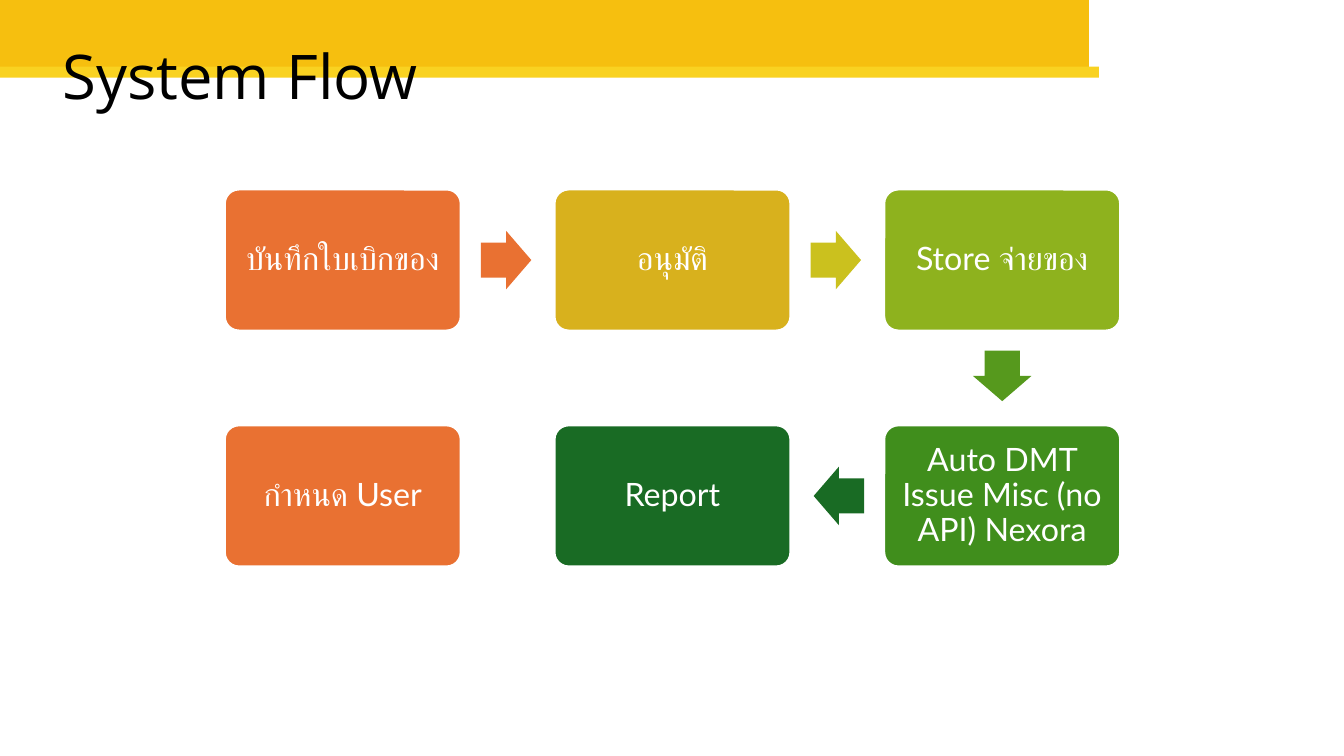
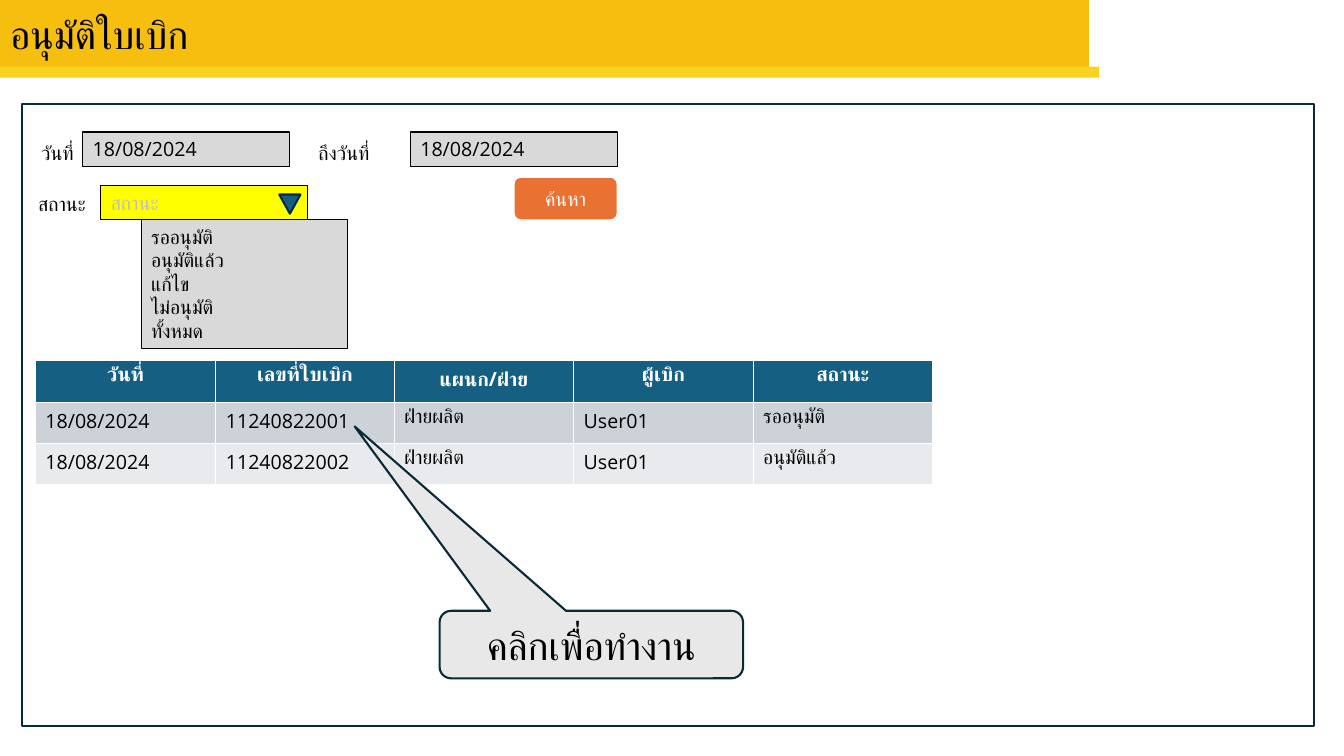
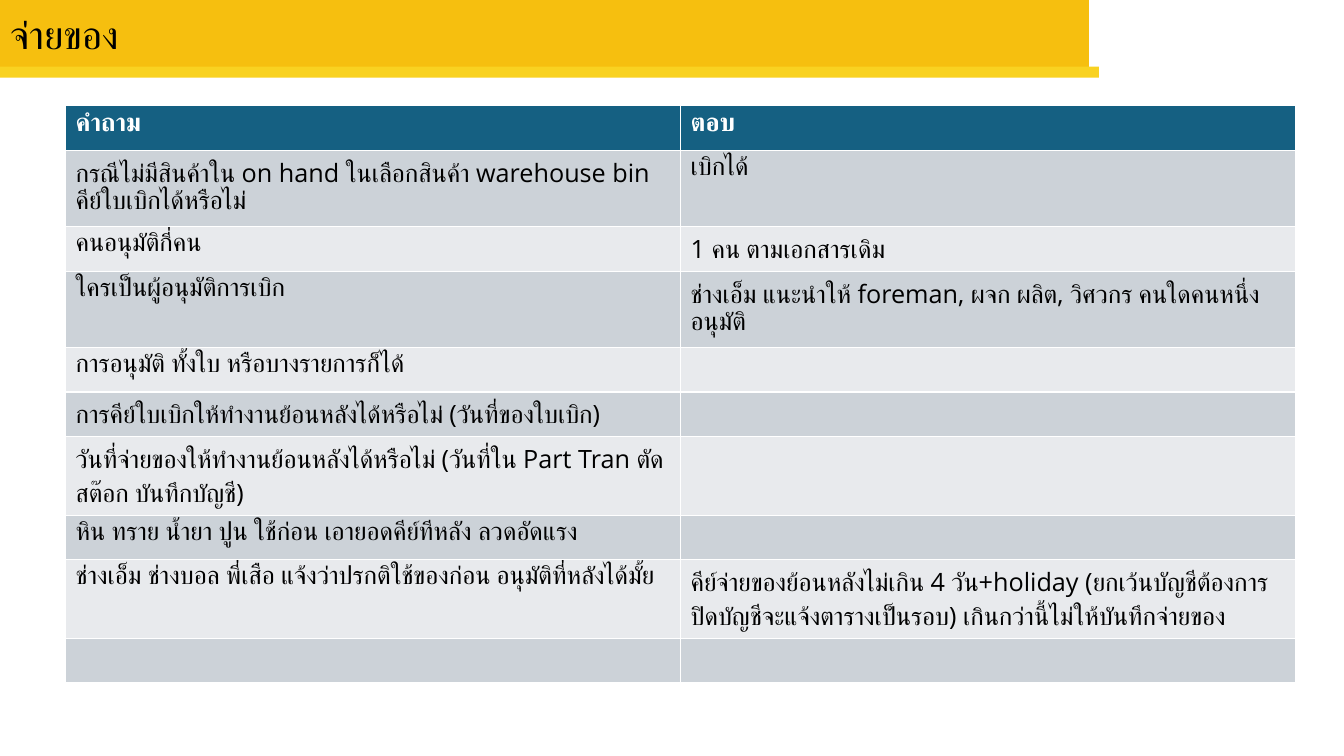
from pptx import Presentation
from pptx import util as u
from pptx.dml.color import RGBColor
from pptx.enum import shapes, text

PX = 9144  # 100 px to the inch
KIND = shapes.MSO_SHAPE
LEFT, MID = text.PP_ALIGN.LEFT, text.PP_ALIGN.CENTER
TOP, CENTRE = text.MSO_ANCHOR.TOP, text.MSO_ANCHOR.MIDDLE

BLACK, WHITE, GREY = "000000", "FFFFFF", "D9D9D9"
GOLD, YELLOW = "F6BF0F", "F9D221"
ORANGE, TEAL, NAVY = "E97132", "156082", "092A39"
BANDS = ["E8EAED", "CCD2D8"]

CARDS = [
    (0, 0, "บันทึกใบเบิกของ", ORANGE),
    (1, 0, "อนุมัติ", "D8B11D"),
    (2, 0, "Store จ่ายของ", "8EB21E"),
    (2, 1, "Auto DMT Issue Misc (no API) Nexora", "408E1C"),
    (1, 1, "Report", "196B24"),
    (0, 1, "กำหนด User", ORANGE),
]
# column, row, x step, y step, turn, colour
ARROWS = [
    (0, 0, 1, 0, 0, ORANGE),
    (1, 0, 1, 0, 0, "CBC11E"),
    (2, 0, 0, 1, 90, "56991D"),
    (2, 1, -1, 0, 180, "196B24"),
]
STATES = ["รออนุมัติ", "อนุมัติแล้ว", "แก้ไข", "ไม่อนุมัติ", "ทั้งหมด"]
SLIPS = [
    ["วันที่", "เลขที่ใบเบิก", "แผนก/ฝ่าย", "ผู้เบิก", "สถานะ"],
    ["18/08/2024", "11240822001", "ฝ่ายผลิต", "User01", "รออนุมัติ"],
    ["18/08/2024", "11240822002", "ฝ่ายผลิต", "User01", "อนุมัติแล้ว"],
]
ASKS = [
    ["คำถาม", "ตอบ"],
    ["กรณีไม่มีสินค้าใน on hand ในเลือกสินค้า warehouse bin คีย์ใบเบิกได้หรือไม่",
     "เบิกได้"],
    ["คนอนุมัติกี่คน", "1 คน ตามเอกสารเดิม"],
    ["ใครเป็นผู้อนุมัติการเบิก",
     "ช่างเอ็ม แนะนำให้ foreman, ผจก ผลิต, วิศวกร คนใดคนหนึ่งอนุมัติ"],
    ["การอนุมัติ ทั้งใบ หรือบางรายการก็ได้", ""],
    ["การคีย์ใบเบิกให้ทำงานย้อนหลังได้หรือไม่ (วันที่ของใบเบิก)", ""],
    ["วันที่จ่ายของให้ทำงานย้อนหลังได้หรือไม่ (วันที่ใน Part Tran ตัดสต๊อก บันทึกบัญชี)",
     ""],
    ["หิน ทราย น้ำยา ปูน ใช้ก่อน เอายอดคีย์ทีหลัง ลวดอัดแรง", ""],
    ["ช่างเอ็ม ช่างบอล พี่เสือ แจ้งว่าปรกติใช้ของก่อน อนุมัติที่หลังได้มั้ย",
     "คีย์จ่ายของย้อนหลังไม่เกิน 4 วัน+holiday (ยกเว้นบัญชีต้องการปิดบัญชีจะแจ้งตารางเป็นรอบ) "
     "เกินกว่านี้ไม่ให้บันทึกจ่ายของ"],
    ["", ""],
]


def px(*nums):
    return [u.Emu(round(n * PX)) for n in nums]


def paint(part, tint):
    """Give a fill, or the fill of a line, one plain colour."""
    part.solid()
    part.fore_color.rgb = RGBColor.from_string(tint)


def write(frame, lines, size=14, tint=BLACK, font="Open Sans",
          align=LEFT, bold=False, lead=None):
    for i, line in enumerate(lines):
        para = frame.add_paragraph() if i else frame.paragraphs[0]
        para.alignment = align
        if lead:
            para.line_spacing = lead
        run = para.add_run()
        run.text = line
        run.font.size = u.Pt(size)
        run.font.name = font
        run.font.bold = bold
        run.font.color.rgb = RGBColor.from_string(tint)


def draw(slide, box, kind=KIND.RECTANGLE, fill=None, line=None, wide=0.75,
         adj=(), turn=0):
    item = slide.shapes.add_shape(kind, *px(*box))
    item.shadow.inherit = False
    item.rotation = turn
    for i, val in enumerate(adj):
        item.adjustments[i] = val
    if fill:
        paint(item.fill, fill)
    else:
        item.fill.background()
    if line:
        paint(item.line.fill, line)
        item.line.width = u.Pt(wide)
    else:
        item.line.fill.background()
    item.text_frame.word_wrap = True
    item.text_frame.vertical_anchor = CENTRE
    return item


def page(deck, name, box=(0, 0, 1080, 67), size=28, lead=1):
    """Add a slide with the gold bands and its title on top of them."""
    slide = deck.slides.add_slide(deck.slide_layouts[5])
    draw(slide, (0, 0, 1080, 67), fill=GOLD)
    draw(slide, (0, 66, 1090, 11), fill=YELLOW)
    title = slide.shapes.title
    title.element.getparent().append(title.element)
    title.left, title.top, title.width, title.height = px(*box)
    frame = title.text_frame
    frame.auto_size = text.MSO_AUTO_SIZE.NONE
    frame.word_wrap = True
    frame.vertical_anchor = CENTRE
    write(frame, [name], size, lead=lead)
    return slide


def field(slide, box, lines, fill=GREY, tint=BLACK):
    item = draw(slide, box, fill=fill, line=BLACK)
    item.text_frame.vertical_anchor = TOP
    write(item.text_frame, lines, tint=tint)


def label(slide, box, line):
    item = slide.shapes.add_textbox(*px(*box))
    item.text_frame.word_wrap = True
    write(item.text_frame, [line])


def grid(slide, x, y, cols, rows, data, size, head=LEFT):
    """Place a table with a teal head row and banded body rows."""
    box = px(x, y, sum(cols), sum(rows))
    table = slide.shapes.add_table(len(rows), len(cols), *box).table
    for col, wide in zip(table.columns, px(*cols)):
        col.width = wide
    for r, (row, high) in enumerate(zip(table.rows, px(*rows))):
        row.height = high
        for cell, line in zip(row.cells, data[r]):
            paint(cell.fill, BANDS[r % 2] if r else TEAL)
            if line:
                write(cell.text_frame, [line], size, BLACK if r else WHITE,
                      align=LEFT if r else head, bold=not r)


def flow(slide, x, y):
    """Place the cards on a grid, with an arrow after each step."""
    wide, high, across, down = 234, 140, 327, 234
    for col, row, line, tint in CARDS:
        box = (x + col * across, y + row * down, wide, high)
        card = draw(slide, box, KIND.ROUNDED_RECTANGLE, tint, WHITE, 1.5, [0.1])
        frame = card.text_frame
        frame.margin_left, frame.margin_right = px(10, 10)
        frame.margin_top, frame.margin_bottom = px(10, 10)
        write(frame, [line], 23, WHITE, "Lato", MID, lead=0.9)
    long, thick, gap = 50, 58, 20
    for col, row, dx, dy, turn, tint in ARROWS:
        mx = x + col * across + wide / 2 + dx * (wide / 2 + gap + long / 2)
        my = y + row * down + high / 2 + dy * (high / 2 + gap + long / 2)
        box = (mx - long / 2, my - thick / 2, long, thick)
        draw(slide, box, KIND.RIGHT_ARROW, tint, adj=[0.6, 0.5], turn=turn)


def search(slide, x, y):
    """Place the search form: two dates, a status list and a button."""
    field(slide, (x + 60, y + 28, 205, 34), ["18/08/2024"])
    label(slide, (x + 9, y + 32, 69, 34), "วันที่")
    field(slide, (x + 385, y + 28, 205, 34), ["18/08/2024"])
    label(slide, (x + 284, y + 32, 97, 34), "ถึงวันที่")
    find = draw(slide, (x + 487, y + 72, 104, 44), KIND.ROUNDED_RECTANGLE,
                ORANGE, WHITE, 2)
    write(find.text_frame, ["ค้นหา"], tint=WHITE, align=MID)
    label(slide, (x + 6, y + 82, 97, 34), "สถานะ")
    field(slide, (x + 78, y + 81, 205, 34), ["สถานะ"], "FFFF00", "BFBFBF")
    draw(slide, (x + 255, y + 90, 21, 19), KIND.ISOSCELES_TRIANGLE,
         TEAL, NAVY, 1.5, turn=180)
    field(slide, (x + 118, y + 115, 205, 128), STATES)


def main():
    deck = Presentation()
    deck.slide_width, deck.slide_height = u.Inches(13.33), u.Inches(7.5)

    slide = page(deck, "System Flow", (52, 33, 415, 92), 44, 0.9)
    flow(slide, 223, 188)

    slide = page(deck, "อนุมัติใบเบิก")
    draw(slide, (22, 103, 1281, 617), line=NAVY, wide=1.5)
    grid(slide, 35, 358, [179, 177, 178, 178, 178], [41] * 3, SLIPS, 14, MID)
    search(slide, 22, 103)
    note = draw(slide, (436, 606, 301, 67), KIND.ROUNDED_RECTANGULAR_CALLOUT,
                "E8E8E8", NAVY, 1.5, [-0.78, -3.23, 0.17])
    write(note.text_frame, ["คลิกเพื่อทำงาน"], 28, align=MID)

    slide = page(deck, "จ่ายของ")
    rows = [44, 76, 44, 76, 44, 44, 76, 44, 76, 44]
    grid(slide, 65, 105, [610, 610], rows, ASKS, 18)

    deck.save("out.pptx")


if __name__ == "__main__":
    main()
